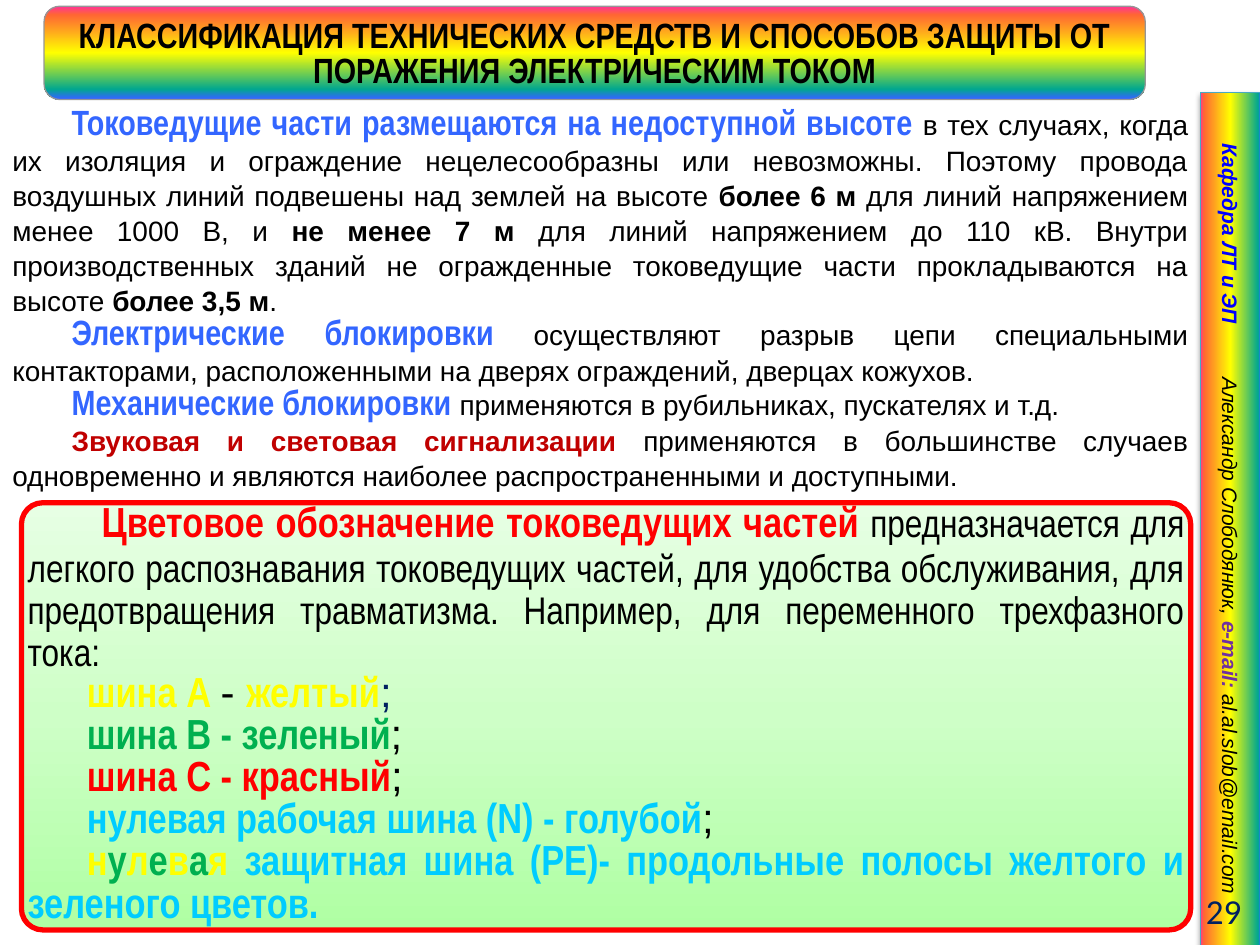
"""Build the slide on protection against electric shock and busbar colours."""
from dataclasses import dataclass

from lxml import etree
from pptx import Presentation
from pptx.dml.color import RGBColor
from pptx.enum import shapes, text
from pptx.oxml import ns
from pptx.util import Inches, Pt


@dataclass(frozen=True)
class Theme:
    """Fonts, colours and type sizes of the slide."""
    sans: str = "Arial"
    narrow: str = "Arial Narrow"
    number: str = "Calibri"
    black: str = "000000"
    navy: str = "002060"
    blue: str = "3366FF"
    link: str = "0000FF"
    purple: str = "7030A0"
    crimson: str = "C00000"
    red: str = "FF0000"
    yellow: str = "FFFF00"
    green: str = "00B050"
    cyan: str = "00CCFF"
    strip_line: str = "46AAC5"
    title_line: str = "969696"
    small: int = 12
    body: int = 16
    heading: int = 20
    list_lead: int = 22
    bus: int = 24
    spacer: int = 32


T = Theme()
RAINBOW = ("FF3399", "FF6633", "FFFF00", "01A78F", "3366FF")
STRIP_STOPS = list(zip((0, 6, 50, 96, 100), RAINBOW))
TITLE_STOPS = list(zip((0, 9, 50, 89, 99), RAINBOW))
BOX_STOPS = [(0, "AFFFA3"), (50, "CEFFC7"), (100, "E7FFE4")]


def plain(words, bold=False):
    return words, T.sans, T.body, T.black, bold


def lead(words):
    return words, T.narrow, T.heading, T.blue, True


def bus(words, color):
    return words, T.narrow, T.bus, color, True


def mark(words, color=T.black):
    return words, T.sans, T.bus, color, False


def strip(words, color=T.black, bold=False, spacing=0):
    return words, T.sans, T.small, color, bold, True, spacing


TITLE = [[("КЛАССИФИКАЦИЯ ТЕХНИЧЕСКИХ СРЕДСТВ И СПОСОБОВ ЗАЩИТЫ ОТ "
           "ПОРАЖЕНИЯ ЭЛЕКТРИЧЕСКИМ ТОКОМ", T.narrow, T.heading, T.black, True)]]
STRIP = [[
    strip("Кафедра ЛТ и ЭП", T.link, True),
    strip(" ", spacing=27),
    strip("Александр Слободянюк, "),
    strip("e-mail: ", T.purple, True),
    strip("al.al.slob@email.com"),
]]
NUMBER = [[("29", T.number, T.heading, T.navy, False)]]
MEASURES = [
    [lead("Токоведущие части размещаются на недоступной высоте "),
     plain("в тех случаях, когда их изоляция и ограждение нецелесообразны или "
           "невозможны. Поэтому провода воздушных линий подвешены над землей на высоте "),
     plain("более 6 м ", True),
     plain("для линий напряжением менее 1000 В, и "),
     plain("не менее 7 м ", True),
     plain("для линий напряжением до 110 кВ. Внутри производственных зданий "
           "не огражденные токоведущие части прокладываются на высоте "),
     plain("более 3,5 м", True),
     plain(".")],
    [lead("Электрические блокировки "),
     plain("осуществляют разрыв цепи специальными контакторами, расположенными "
           "на дверях ограждений, дверцах кожухов.")],
    [lead("Механические блокировки "),
     plain("применяются в рубильниках, пускателях и т.д. ")],
    [("Звуковая и световая сигнализации ", T.sans, T.body, T.crimson, True),
     plain("применяются в большинстве случаев одновременно и являются наиболее "
           "распространенными и доступными.")],
]
STRIPED_WORD = [bus(letter, (T.yellow, T.green)[place % 2])
                for place, letter in enumerate("нулевая")]
BUSBARS = [
    [(" ", T.narrow, T.spacer, T.blue, True),
     bus("Цветовое обозначение токоведущих частей ", T.red),
     ("предназначается для легкого распознавания токоведущих частей, для удобства "
      "обслуживания, для предотвращения травматизма. Например, для переменного "
      "трехфазного тока: ", T.narrow, T.list_lead, T.black, False)],
    [bus("шина А ", T.yellow), mark("- "), bus("желтый", T.yellow), mark("; ", T.navy)],
    [bus("шина В - зеленый", T.green), mark("; ")],
    [bus("шина С - красный", T.red), mark("; ")],
    [bus("нулевая рабочая шина (N) - голубой", T.cyan), mark("; ")],
    STRIPED_WORD
    + [bus(" защитная шина (PE)- продольные полосы желтого и зеленого цветов.", T.cyan)],
]


def add_run(paragraph, words, font, size, color, bold, italic=False, spacing=0):
    run = paragraph.add_run()
    run.text = words
    run.font.name, run.font.size = font, Pt(size)
    run.font.bold, run.font.italic = bold, italic
    run.font.color.rgb = RGBColor.from_string(color)
    if spacing:
        run.font._element.set("spc", str(spacing * 100))


def write(shape, paragraphs, align, leading=None, indent=0, insets=None,
          anchor=text.MSO_ANCHOR.MIDDLE):
    frame = shape.text_frame
    frame.word_wrap = True
    frame.vertical_anchor = anchor
    if insets:
        (frame.margin_left, frame.margin_top,
         frame.margin_right, frame.margin_bottom) = map(Inches, insets)
    for place, runs in enumerate(paragraphs):
        paragraph = frame.add_paragraph() if place else frame.paragraphs[0]
        paragraph.alignment = align
        if leading:
            paragraph.line_spacing = Pt(leading)
        if indent:
            paragraph._p.get_or_add_pPr().set("indent", str(Inches(indent)))
        for run in runs:
            add_run(paragraph, *run)


def add_panel(slide, kind, place, stops, angle, line, width):
    shape = slide.shapes.add_shape(kind, *map(Inches, place))
    shape.shadow.inherit = False
    shape.fill.gradient()
    shape.fill.gradient_angle = angle
    stop_list = shape._element.spPr.find(".//" + ns.qn("a:gsLst"))
    for stop in list(stop_list):
        stop_list.remove(stop)
    for position, color in stops:
        stop = etree.SubElement(stop_list, ns.qn("a:gs"), pos=str(position * 1000))
        etree.SubElement(stop, ns.qn("a:srgbClr"), val=color)
    shape.line.color.rgb = RGBColor.from_string(line)
    shape.line.width = Pt(width)
    return shape


def add_shadow(shape):
    effects = shape._element.spPr.find(ns.qn("a:effectLst"))
    shadow = etree.SubElement(effects, ns.qn("a:outerShdw"), blurRad=str(Pt(3.1)),
                              dist=str(Pt(1.6)), dir="5400000", rotWithShape="0")
    color = etree.SubElement(shadow, ns.qn("a:srgbClr"), val=T.black)
    etree.SubElement(color, ns.qn("a:alpha"), val="38000")


def main():
    presentation = Presentation()
    presentation.slide_width, presentation.slide_height = Inches(10), Inches(7.5)
    slide = presentation.slides.add_slide(presentation.slide_layouts[6])
    kinds, align = shapes.MSO_SHAPE, text.PP_ALIGN

    side = add_panel(slide, kinds.RECTANGLE, (6.38, 3.88, 6.77, 0.48),
                     STRIP_STOPS, 90, T.strip_line, 0.75)
    side.rotation = 90
    add_shadow(side)
    write(side, STRIP, align.CENTER)

    number = slide.shapes.add_textbox(*map(Inches, (8.86, 7.03, 1.09, 0.4)))
    write(number, NUMBER, align.RIGHT)

    measures = slide.shapes.add_textbox(*map(Inches, (0, 0.8, 9.53, 3.19)))
    write(measures, MEASURES, align.JUSTIFY, 20, 0.47, anchor=text.MSO_ANCHOR.TOP)
    measures.text_frame.auto_size = text.MSO_AUTO_SIZE.SHAPE_TO_FIT_TEXT

    box = add_panel(slide, kinds.ROUNDED_RECTANGLE, (0.17, 3.99, 9.28, 3.39),
                    BOX_STOPS, 90, T.red, 3)
    box.adjustments[0] = 0.05
    write(box, BUSBARS, align.JUSTIFY, 24, 0.47, (0, 0, 0, 0))

    title = add_panel(slide, kinds.ROUNDED_RECTANGLE, (0.35, 0.05, 8.74, 0.74),
                      TITLE_STOPS, 270, T.title_line, 0.75)
    write(title, TITLE, align.CENTER, 20, insets=(0.04, 0.04, 0.04, 0))

    presentation.save("out.pptx")


if __name__ == "__main__":
    main()
